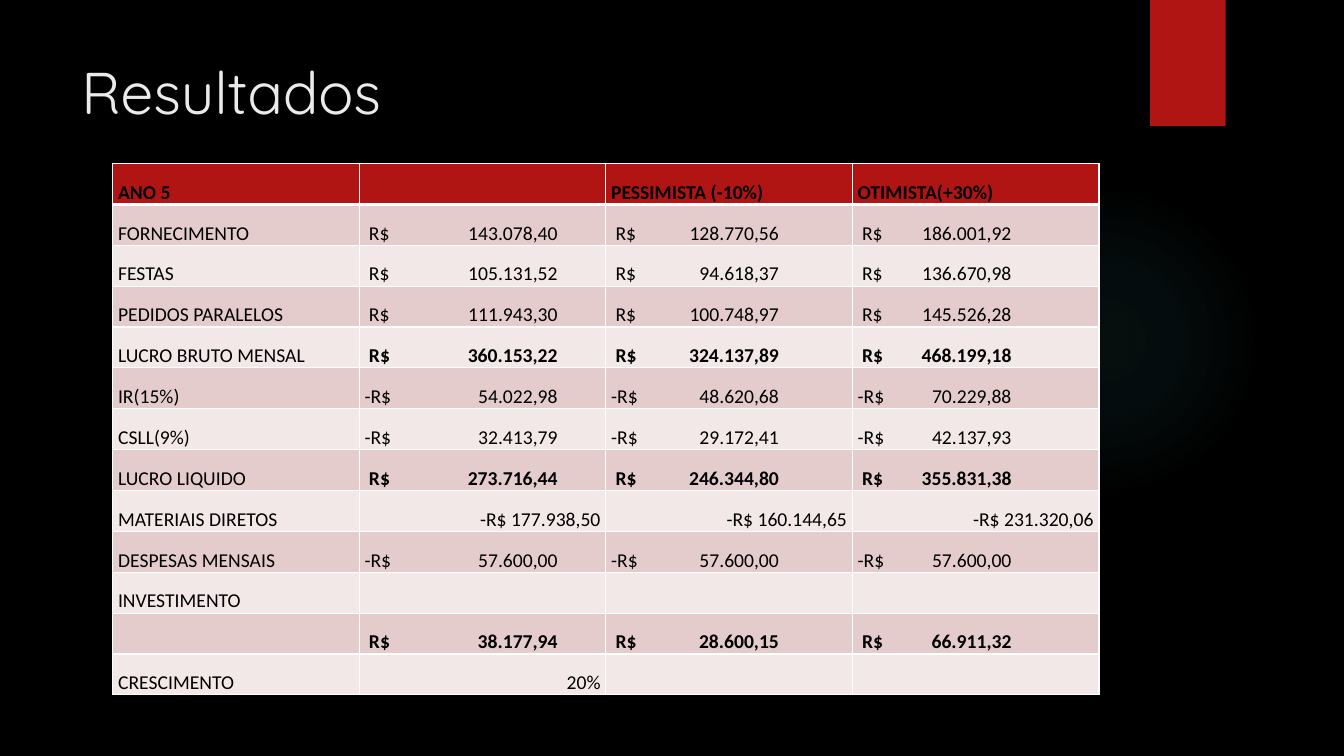
from dataclasses import dataclass

from lxml import etree
from pptx import Presentation
from pptx.dml.color import RGBColor
from pptx.enum.shapes import MSO_SHAPE
from pptx.enum.text import MSO_ANCHOR, PP_ALIGN
from pptx.oxml import parse_xml
from pptx.oxml.ns import nsdecls, qn
from pptx.util import Pt

RECT, OVAL = MSO_SHAPE.RECTANGLE, MSO_SHAPE.OVAL
LEFT, RIGHT = PP_ALIGN.LEFT, PP_ALIGN.RIGHT
TOP, BOTTOM = MSO_ANCHOR.TOP, MSO_ANCHOR.BOTTOM
TITLE_ONLY = 5


@dataclass(frozen=True)
class Theme:
    """Colours, fonts and type sizes of the slide."""
    background: str = "000000"
    accent: str = "B01513"
    glow: str = "50B9C1"
    title: str = "EBEBEB"
    text: str = "000000"
    border: str = "FFFFFF"
    bands: tuple = ("E4CCCC", "F2E8E7")
    title_font: str = "Quicksand"
    body_font: str = "Calibri"
    title_size: int = 42
    body_size: int = 14


HEADERS = ("ANO 5", "", "PESSIMISTA (-10%)", "OTIMISTA(+30%)")
PLUS, MINUS = " R$\t", "-R$\t"  # the amount goes to the tab stop
# label, prefix, bold amounts, amounts
ROWS = (
    ("FORNECIMENTO", PLUS, False, ("143.078,40", "128.770,56", "186.001,92")),
    ("FESTAS", PLUS, False, ("105.131,52", "94.618,37", "136.670,98")),
    ("PEDIDOS PARALELOS", PLUS, False, ("111.943,30", "100.748,97", "145.526,28")),
    ("LUCRO BRUTO MENSAL", PLUS, True, ("360.153,22", "324.137,89", "468.199,18")),
    ("IR(15%)", MINUS, False, ("54.022,98", "48.620,68", "70.229,88")),
    ("CSLL(9%)", MINUS, False, ("32.413,79", "29.172,41", "42.137,93")),
    ("LUCRO LIQUIDO", PLUS, True, ("273.716,44", "246.344,80", "355.831,38")),
    ("MATERIAIS DIRETOS", "-R$ ", False, ("177.938,50", "160.144,65", "231.320,06")),
    ("DESPESAS MENSAIS", MINUS, False, ("57.600,00",) * 3),
    ("INVESTIMENTO", "", False, ("", "", "")),
    ("", PLUS, True, ("38.177,94", "28.600,15", "66.911,32")),
    ("CRESCIMENTO", "", False, ("20%", "", "")),
)
AMOUNT_STOPS = (138, 120, 110)


class SlideBuilder:
    """Holds the theme and the current slide, and adds elements to it."""

    def __init__(self, prs, theme):
        """Add a title-only slide with the theme's background."""
        self.theme = theme
        self.s = prs.slides.add_slide(prs.slide_layouts[TITLE_ONLY])
        fill = self.s.background.fill
        fill.solid()
        fill.fore_color.rgb = RGBColor.from_string(theme.background)

    def style(self, p, font, size, color, bold=False, align=LEFT):
        """Format a whole paragraph."""
        p.alignment = align
        p.font.name, p.font.size, p.font.bold = font, Pt(size), bold
        p.font.color.rgb = RGBColor.from_string(color)

    def title(self, text, x, y, w, h):
        """Place and format the title."""
        sp = self.s.shapes.title
        sp.left, sp.top, sp.width, sp.height = Pt(x), Pt(y), Pt(w), Pt(h)
        tf = sp.text_frame
        tf.text, tf.vertical_anchor, tf.word_wrap = text, TOP, True
        t = self.theme
        self.style(tf.paragraphs[0], t.title_font, t.title_size, t.title)

    def shape(self, kind, x, y, w, h, color):
        """Add a plain filled shape."""
        sp = self.s.shapes.add_shape(kind, Pt(x), Pt(y), Pt(w), Pt(h))
        sp.shadow.inherit = False
        sp.fill.solid()
        sp.fill.fore_color.rgb = RGBColor.from_string(color)
        sp.line.fill.background()
        return sp

    def glow(self, x, y, size):
        """Add a circle that fades out from its centre."""
        sp = self.shape(OVAL, x, y, size, size, self.theme.glow)
        stops = "".join(
            f'<a:gs pos="{pos * 1000}"><a:srgbClr val="{self.theme.glow}">'
            f'<a:alpha val="{alpha * 1000}"/></a:srgbClr></a:gs>'
            for pos, alpha in ((0, 7), (36, 6), (69, 0), (100, 0)))
        solid = sp._element.spPr.find(qn("a:solidFill"))
        solid.getparent().replace(solid, parse_xml(
            f'<a:gradFill {nsdecls("a")}><a:gsLst>{stops}</a:gsLst>'
            '<a:path path="circle"><a:fillToRect l="50000" t="50000" '
            'r="50000" b="50000"/></a:path></a:gradFill>'))

    def borders(self, cell, bottom, top):
        """Draw the four borders of a cell."""
        tc_pr = cell._tc.get_or_add_tcPr()
        widths = (("lnL", 1), ("lnR", 1), ("lnT", top), ("lnB", bottom))
        for i, (side, width) in enumerate(widths):
            tc_pr.insert(i, parse_xml(
                f'<a:{side} {nsdecls("a")} w="{Pt(width)}"><a:solidFill>'
                f'<a:srgbClr val="{self.theme.border}"/></a:solidFill></a:{side}>'))

    def cell(self, cell, text, fill, bold=False, align=LEFT, stop=None,
             top=1, bottom=1):
        """Fill and format one table cell."""
        t = self.theme
        cell.margin_left = cell.margin_right = Pt(3.75)
        cell.margin_top = cell.margin_bottom = 0
        cell.vertical_anchor = BOTTOM
        cell.fill.solid()
        cell.fill.fore_color.rgb = RGBColor.from_string(fill)
        self.borders(cell, bottom, top)
        cell.text = text
        p = cell.text_frame.paragraphs[0]
        p.line_spacing, p.space_before = 1.2, Pt(2)
        self.style(p, t.body_font, t.body_size, t.text, bold, align)
        if stop:
            tabs = etree.Element(qn("a:tabLst"))
            etree.SubElement(tabs, qn("a:tab"), pos=str(Pt(stop)), algn="r")
            p._p.pPr.find(qn("a:defRPr")).addprevious(tabs)

    def results_table(self, x, y, w, h):
        """Add the table of results with equal rows and columns."""
        n_rows, n_cols = len(ROWS) + 1, len(HEADERS)
        table = self.s.shapes.add_table(
            n_rows, n_cols, Pt(x), Pt(y), Pt(w), Pt(h)).table
        table.horz_banding = table.first_row = False
        for col in table.columns:
            col.width = Pt(w / n_cols)
        for row in table.rows:
            row.height = Pt(h / n_rows)
        for c, header in enumerate(HEADERS):
            self.cell(table.cell(0, c), header, self.theme.accent, True, bottom=3)
        for r, (label, prefix, bold, amounts) in enumerate(ROWS, 1):
            band = self.theme.bands[(r - 1) % 2]
            top = 3 if r == 1 else 1
            self.cell(table.cell(r, 0), label, band, top=top)
            tabbed = prefix.endswith("\t")
            for c, (amount, stop) in enumerate(zip(amounts, AMOUNT_STOPS), 1):
                self.cell(table.cell(r, c), prefix + amount, band, bold,
                          LEFT if tabbed else RIGHT, stop if tabbed else None, top)


def main():
    """Build the results slide and save it."""
    prs = Presentation()
    prs.slide_width, prs.slide_height = Pt(960), Pt(540)
    theme = Theme()
    slide = SlideBuilder(prs, theme)
    slide.glow(677.5, 131.8, 221.8)
    slide.shape(RECT, 821.5, 0, 54, 90, theme.accent)
    slide.title("Resultados", 51, 36, 741, 110)
    slide.results_table(80.6, 116.8, 704.4, 379.6)
    prs.save("out.pptx")


main()
